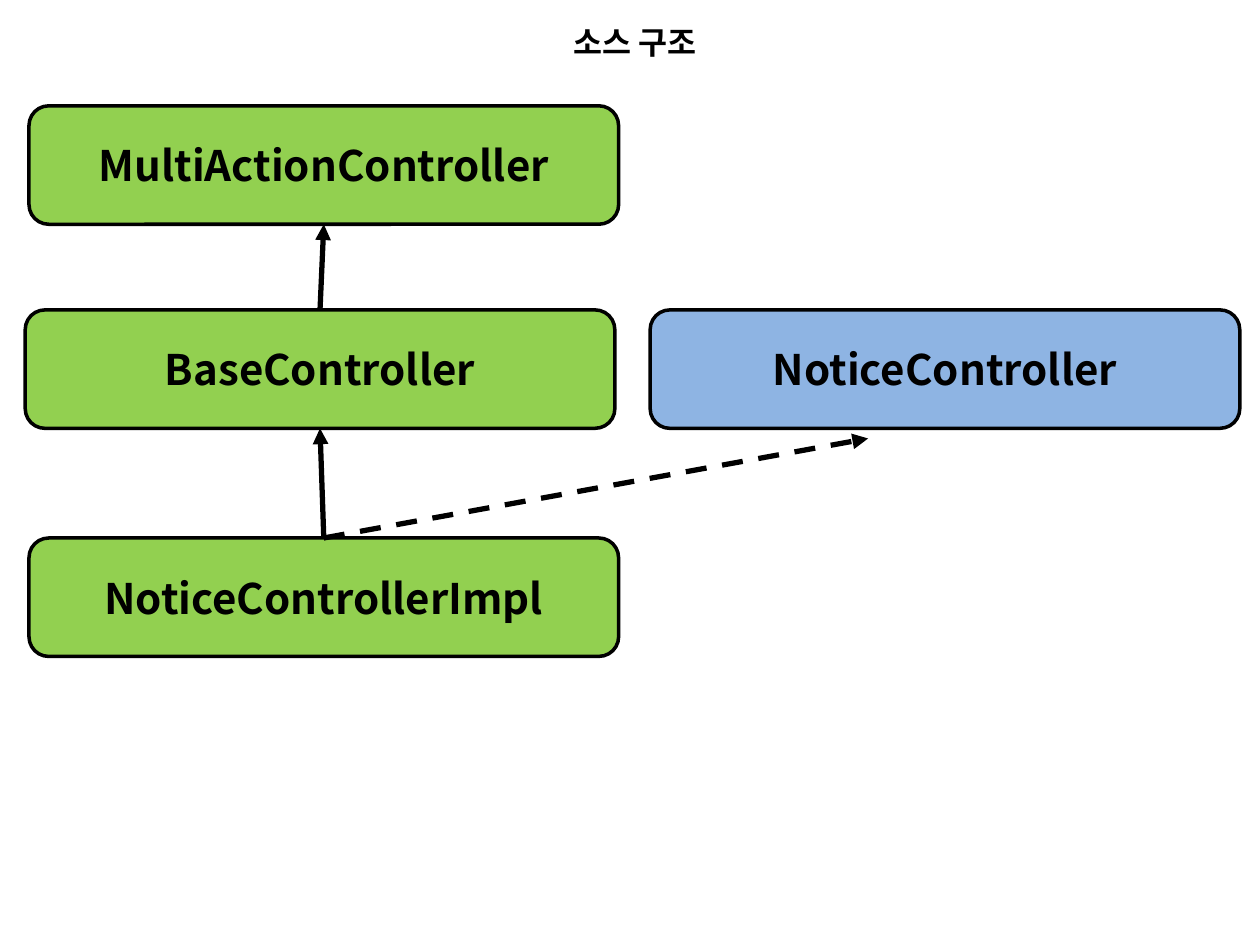
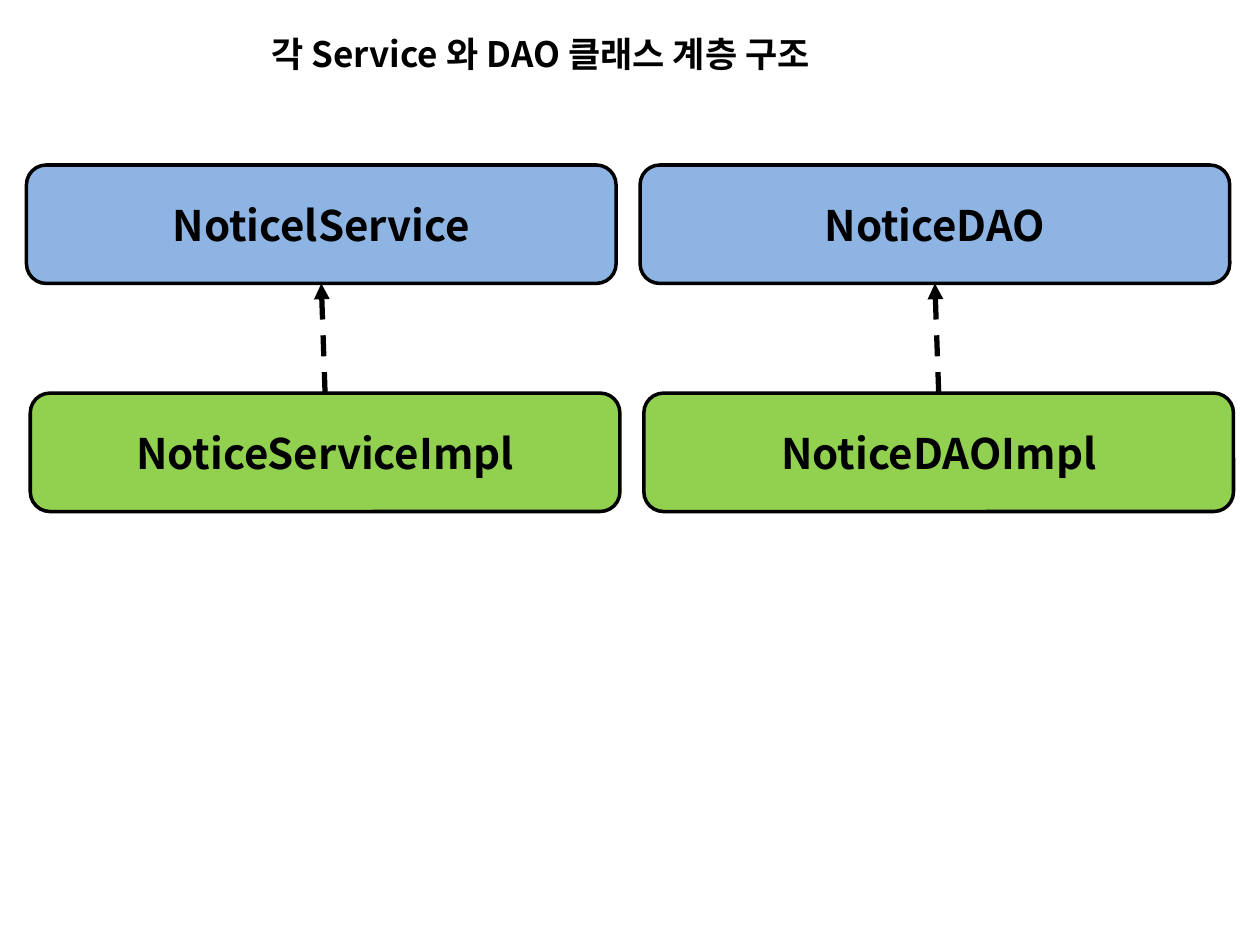
"""Build two class hierarchy slides."""
from pptx import Presentation
from pptx.dml.color import RGBColor
from pptx.enum.dml import MSO_LINE_DASH_STYLE as DASH
from pptx.enum.shapes import MSO_CONNECTOR as CONN, MSO_SHAPE as SHAPE
from pptx.enum.text import MSO_ANCHOR as ANCHOR, MSO_AUTO_SIZE as AUTO, PP_ALIGN as ALIGN
from pptx.oxml.ns import qn
from pptx.util import Pt
from lxml.etree import SubElement

PX = 9144
FONT = "Noto Sans CJK KR"
BLACK, GREEN, BLUE = "000000", "92D050", "8EB4E3"
BOX_W, BOX_H = 468, 94
TOP, BOTTOM = 0, 2


def px(n):
    return n * PX


def rgb(color):
    return RGBColor.from_string(color)


class Deck:
    """Hold the shared style and the current slide."""

    def __init__(self):
        self.prs = Presentation()
        self.prs.slide_width, self.prs.slide_height = px(1000), px(750)
        self.s = None

    def slide(self, title, x, y, w, h, size):
        self.s = self.prs.slides.add_slide(self.prs.slide_layouts[5])
        sp = self.s.shapes.title
        sp.left, sp.top, sp.width, sp.height = map(px, (x, y, w, h))
        sp.text_frame.auto_size = AUTO.NONE
        self.text(sp, title, size, ANCHOR.TOP)

    def text(self, sp, words, size, anchor):
        tf = sp.text_frame
        tf.word_wrap = True
        tf.vertical_anchor = anchor
        p = tf.paragraphs[0]
        p.text = words
        p.alignment = ALIGN.CENTER
        p.font.name, p.font.size, p.font.bold = FONT, Pt(size), True
        p.font.color.rgb = rgb(BLACK)
        props = p._p.pPr.find(qn("a:defRPr"))
        SubElement(props, qn("a:ea"), typeface=FONT)

    def box(self, name, x, y, color):
        sp = self.s.shapes.add_shape(SHAPE.ROUNDED_RECTANGLE, *map(px, (x, y, BOX_W, BOX_H)))
        sp.shadow.inherit = False
        sp.fill.solid()
        sp.fill.fore_color.rgb = rgb(color)
        sp.line.color.rgb = rgb(BLACK)
        sp.line.width = Pt(2)
        self.text(sp, name, 24, ANCHOR.MIDDLE)
        return sp

    def arrow(self, child, parent=None, end=(0, 0), dashed=False):
        line = self.s.shapes.add_connector(CONN.STRAIGHT, 0, 0, *map(px, end))
        line.begin_connect(child, TOP)
        if parent is not None:
            line.end_connect(parent, BOTTOM)
        line.line.color.rgb = rgb(BLACK)
        line.line.width = Pt(3)
        if dashed:
            line.line.dash_style = DASH.DASH
        SubElement(line.line._get_or_add_ln(), qn("a:tailEnd"), type="triangle")
        SubElement(line._element.spPr, qn("a:effectLst"))


def main():
    deck = Deck()

    deck.slide("소스 구조", 311, 13, 386, 40, 18)
    multi = deck.box("MultiActionController", 23, 84, GREEN)
    base = deck.box("BaseController", 20, 246, GREEN)
    impl = deck.box("NoticeControllerImpl", 23, 427, GREEN)
    deck.box("NoticeController", 516, 246, BLUE)
    deck.arrow(base, multi)
    deck.arrow(impl, base)
    deck.arrow(impl, end=(689, 348), dashed=True)

    deck.slide("각 Service 와 DAO 클래스 계층 구조", 130, 21, 598, 44, 20)
    pairs = [("NoticelService", "NoticeServiceImpl"), ("NoticeDAO", "NoticeDAOImpl")]
    for i, (interface, implementation) in enumerate(pairs):
        x = 21 + 487 * i
        parent = deck.box(interface, x, 131, BLUE)
        child = deck.box(implementation, x + 3, 312, GREEN)
        deck.arrow(child, parent, dashed=True)

    deck.prs.save("out.pptx")


if __name__ == "__main__":
    main()
